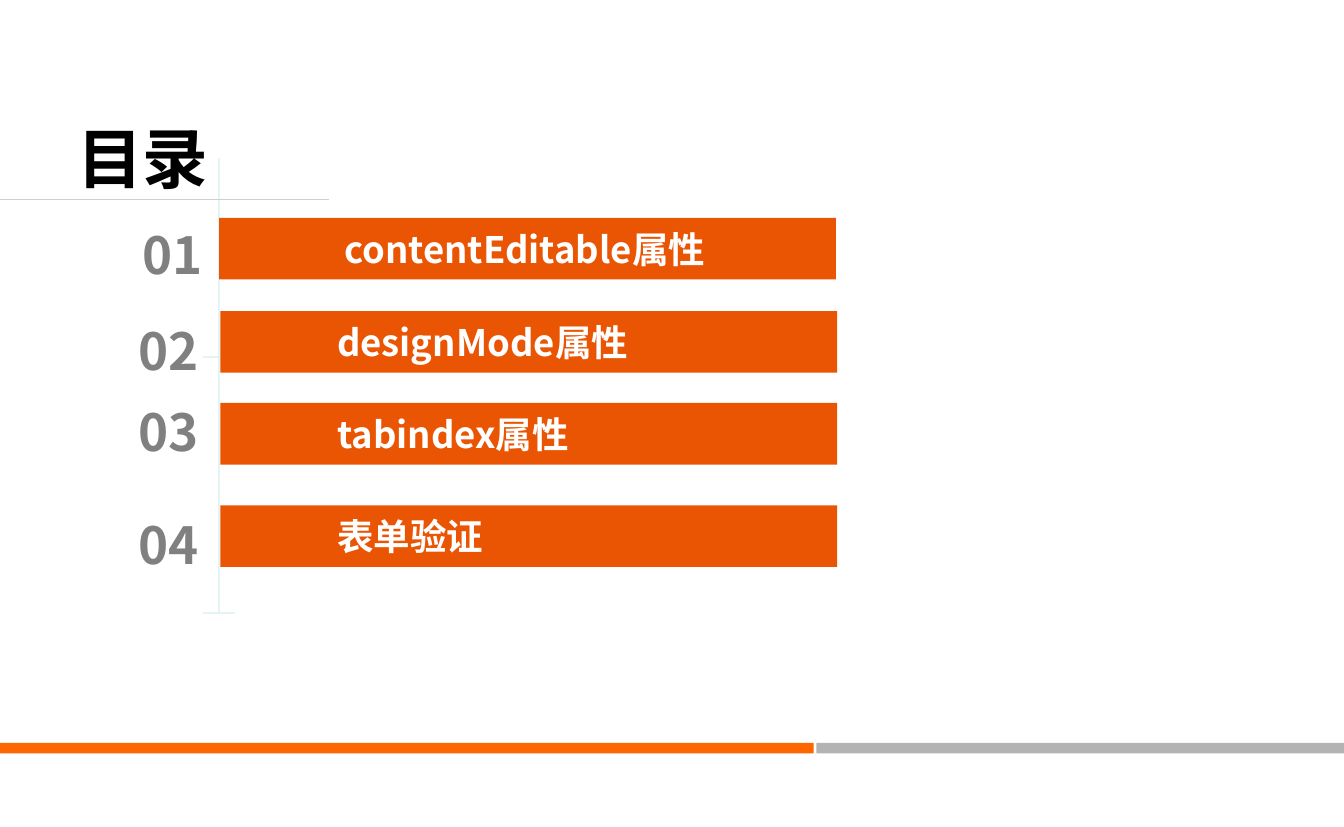
from lxml.etree import SubElement
from pptx import Presentation
from pptx.dml.color import RGBColor
from pptx.enum.shapes import MSO_CONNECTOR, MSO_SHAPE
from pptx.enum.text import MSO_ANCHOR, MSO_AUTO_SIZE, PP_ALIGN
from pptx.oxml.ns import qn
from pptx.util import Pt

PX = 9144
FONT = "Noto Sans CJK SC"
ORANGE, BAR_ORANGE, GRAY = "FF6600", "EA5504", "B3B3B3"
PALE, RULE, NUMBER = "E4F3F4", "CFCFCF", "808080"
ENTRIES = [
    ("01", " contentEditable属性", (62, 156), (167, 166)),
    ("02", "designMode属性", (59, 229), (168, 237)),
    ("03", "tabindex属性", (59, 291), (168, 307)),
    ("04", "表单验证", (59, 377), (168, 385)),
]


def color(value):
    """Turn a hex string into a colour."""
    return RGBColor.from_string(value)


def emu(*lengths):
    """Scale px lengths to EMU."""
    return [length * PX for length in lengths]


def write(shape, text, size, fill):
    """Set one bold line of text and return its paragraph."""
    shape.text_frame.word_wrap = True
    para = shape.text_frame.paragraphs[0]
    para.text = text
    span = para.runs[0]
    span.font.size = Pt(size)
    span.font.bold = True
    span.font.name = FONT
    span.font.color.rgb = color(fill)
    SubElement(span.font._element, qn("a:ea"), typeface=FONT)
    return para


def add_bar(page, box, fill):
    """Add a plain filled rectangle."""
    bar = page.shapes.add_shape(MSO_SHAPE.RECTANGLE, *emu(*box))
    bar.shadow.inherit = False
    bar.fill.solid()
    bar.fill.fore_color.rgb = color(fill)
    bar.line.fill.background()
    return bar


def add_line(page, ends, stroke):
    """Add a thin straight line."""
    line = page.shapes.add_connector(MSO_CONNECTOR.STRAIGHT, *emu(*ends))
    line.line.color.rgb = color(stroke)
    line.line.width = Pt(1)
    SubElement(line._element.spPr, qn("a:effectLst"))


def add_footer(page, box):
    """Draw the two-colour strip with a narrow gap."""
    left, top, width, height = box
    split, gap = 620, 2
    add_bar(page, (left, top, split, height), ORANGE)
    add_bar(page, (left + split + gap, top, width - split - gap, height), GRAY)


def add_axis(page, box):
    """Draw the vertical axis with its middle and end ticks."""
    left, top, width, height = box
    center, bottom = left + width // 2, top + height
    add_line(page, (center, top, center, bottom), PALE)
    for tick in (272, bottom):
        add_line(page, (left, tick, left + width, tick), PALE)


def add_title(page, box):
    """Write the heading and the rule below it."""
    left, top, width, height = box
    title = page.shapes.add_textbox(*emu(*box))
    write(title, "目录", 36, "000000")
    rule = top + height + 8
    add_line(page, (0, rule, 251, rule), RULE)


def add_number(page, box, text):
    """Write a right-aligned entry number."""
    number = page.shapes.add_textbox(*emu(*box))
    para = write(number, text, 28, NUMBER)
    para.alignment = PP_ALIGN.RIGHT
    para.line_spacing = 1.2
    number.text_frame.auto_size = MSO_AUTO_SIZE.SHAPE_TO_FIT_TEXT


def add_entry(page, box, text):
    """Draw an entry bar with its indented label."""
    bar = add_bar(page, box, BAR_ORANGE)
    bar.text_frame.vertical_anchor = MSO_ANCHOR.MIDDLE
    para = write(bar, text, 20, "FFFFFF")
    para.alignment = PP_ALIGN.LEFT
    properties = para._p.get_or_add_pPr()
    properties.set("marL", str(79 * PX))
    properties.set("indent", "0")


def main():
    """Build the contents slide."""
    deck = Presentation()
    deck.slide_width, deck.slide_height = emu(1024, 630)
    page = deck.slides.add_slide(deck.slide_layouts[6])
    add_footer(page, (0, 566, 1024, 8))
    add_axis(page, (155, 120, 24, 347))
    add_title(page, (49, 85, 129, 59))
    for number, label, number_at, bar_at in ENTRIES:
        add_number(page, (*number_at, 102, 62), number)
        add_entry(page, (*bar_at, 470, 47), label)
    deck.save("out.pptx")


if __name__ == "__main__":
    main()
